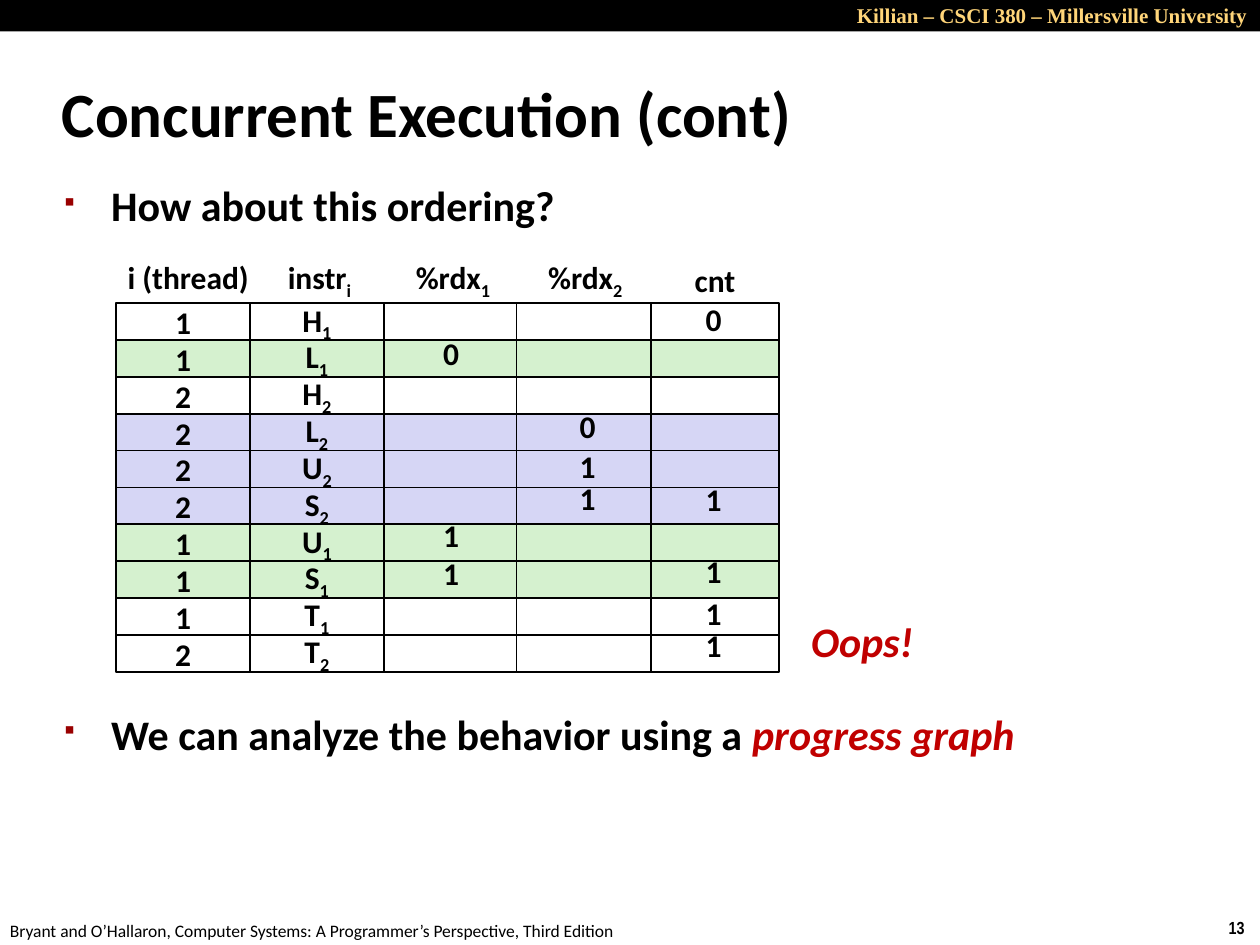
import pptx
import pptx.util
import pptx.dml.color
import pptx.enum.shapes
import pptx.enum.text
import pptx.oxml
import pptx.oxml.ns

Pt = pptx.util.Pt
Align = pptx.enum.text.PP_ALIGN
Anchor = pptx.enum.text.MSO_ANCHOR
NO_FIT = pptx.enum.text.MSO_AUTO_SIZE.NONE

# Content; "_" starts a subscript
TITLE = "Concurrent Execution (cont)"
BULLETS = [
    [("How about this ordering?", "bullet")],
    [("We can analyze the behavior using a ", "bullet"), ("progress graph", "accent")],
]
# Row shade, thread, instruction
STEPS = [
    ("plain", "1", "H_1"),
    ("first", "1", "L_1"),
    ("plain", "2", "H_2"),
    ("second", "2", "L_2"),
    ("second", "2", "U_2"),
    ("second", "2", "S_2"),
    ("first", "1", "U_1"),
    ("first", "1", "S_1"),
    ("plain", "1", "T_1"),
    ("plain", "2", "T_2"),
]
# Value and top of each register or counter entry
VALUES = {
    "rdx1": [("0", 187.2), ("1", 291.6), ("1", 313.2)],
    "rdx2": [("0", 229), ("1", 252), ("1", 270)],
    "cnt": [("0", 167.8), ("1", 270.7), ("1", 311.8), ("1", 336.2), ("1", 354.2)],
}
# Text, left, top, width, height, style, alignment, anchor
LABELS = [
    ("Killian – CSCI 380 – Millersville University", 324, -2, 396, 21.6,
     "header", Align.RIGHT, Anchor.TOP),
    ("Bryant and O’Hallaron, Computer Systems: A Programmer’s Perspective, Third Edition",
     -1.4, 522, 366, 19.4, "footer", Align.LEFT, Anchor.TOP),
    ("13", 695, 520.6, 24.5, 19.4, "number", Align.LEFT, Anchor.TOP),
    ("i (thread)", 65.5, 144, 84.2, 28.8, "cell", Align.CENTER, Anchor.MIDDLE),
    ("instr_i", 157, 145.4, 51.1, 28.8, "cell", Align.CENTER, Anchor.MIDDLE),
    ("%rdx_1", 229.7, 145.4, 58.3, 28.8, "cell", Align.CENTER, Anchor.MIDDLE),
    ("%rdx_2", 305.3, 145.4, 58.3, 28.8, "cell", Align.CENTER, Anchor.MIDDLE),
    ("cnt", 389.5, 145.4, 38.2, 28.8, "cell", Align.CENTER, Anchor.MIDDLE),
    ("Oops!", 456, 348, 73.4, 36, "accent", Align.CENTER, Anchor.MIDDLE),
]

# Theme
THEME = {
    "colors": {"ink": "000000", "accent": "C00000", "gold": "FFD579", "marker": "990000",
               "plain": "FFFFFF", "first": "D5F1CF", "second": "D6D6F5"},
    "text": {
        "title": ("ink", {"name": "Calibri", "size": Pt(36), "bold": True}),
        "bullet": ("ink", {"name": "Calibri", "size": Pt(24), "bold": True}),
        "accent": ("accent", {"name": "Calibri", "size": Pt(24), "bold": True, "italic": True}),
        "cell": ("ink", {"name": "Calibri", "size": Pt(18), "bold": True}),
        "header": ("gold", {"name": "Times New Roman", "size": Pt(12), "bold": True}),
        "footer": ("ink", {"name": "Calibri", "size": Pt(10)}),
        "number": ("ink", {"name": "Arial Narrow", "size": Pt(10), "bold": True}),
    },
}

# Grid layout: the wide cnt column lies under the rdx2 column
GRID_TOP, ROW_STEP = 173.3, 21.05
CELL_WIDTH, CELL_HEIGHT = 76.8, 21.5
COLUMN_LEFTS = {"instr": 142.7, "thread": 66.2, "rdx1": 219.5, "cnt": 368.6, "rdx2": 295.2}
VALUE_LEFTS = {"rdx1": 246.2, "rdx2": 324.2, "cnt": 396.2}
BULLET_GAP = 273


def color(name):
    return pptx.dml.color.RGBColor.from_string(THEME["colors"][name])


def apply(target, values):
    for name, value in values.items():
        setattr(target, name, value)


def add_span(para, text, style):
    span = para.add_run()
    span.text = text
    ink, values = THEME["text"][style]
    apply(span.font, values)
    span.font.color.rgb = color(ink)
    return span


def write(frame, text, style, alignment, anchor):
    frame.vertical_anchor = anchor
    para = frame.paragraphs[0]
    para.alignment = alignment
    base, _, subscript = text.partition("_")
    add_span(para, base, style)
    if subscript:
        add_span(para, subscript, style).font._element.set("baseline", "-25000")


def place(shape, left, top, width, height):
    apply(shape, {"left": Pt(left), "top": Pt(top), "width": Pt(width), "height": Pt(height)})


def add_bullet(para):
    props = para._p.get_or_add_pPr()
    for name, value in {"marL": Pt(27), "indent": -Pt(27)}.items():
        props.set(name, str(int(value)))
    space = pptx.oxml.ns.nsdecls("a")
    for xml in (
        f'<a:buClr {space}><a:srgbClr val="{THEME["colors"]["marker"]}"/></a:buClr>',
        f'<a:buSzPct {space} val="60000"/>',
        f'<a:buFont {space} typeface="Wingdings" charset="2"/>',
        f'<a:buChar {space} char="§"/>',
    ):
        props.append(pptx.oxml.parse_xml(xml))


def add_box(page, left, top, width, height, fill, line=None):
    box = page.shapes.add_shape(
        pptx.enum.shapes.MSO_SHAPE.RECTANGLE, Pt(left), Pt(top), Pt(width), Pt(height))
    box.shadow.inherit = False
    box.fill.solid()
    box.fill.fore_color.rgb = color(fill)
    if line:
        box.line.color.rgb = color(line)
        box.line.width = Pt(1)
    else:
        box.line.fill.background()
    return box


def add_label(page, text, left, top, width, height, style, alignment, anchor):
    box = page.shapes.add_textbox(Pt(left), Pt(top), Pt(width), Pt(height))
    box.text_frame.word_wrap = alignment == Align.RIGHT
    write(box.text_frame, text, style, alignment, anchor)


def main():
    deck = pptx.Presentation()
    apply(deck, {"slide_width": Pt(720), "slide_height": Pt(540)})
    page = deck.slides.add_slide(deck.slide_layouts[1])
    title, body = page.placeholders

    # Title
    place(title, 28.1, 34.2, 598, 60)
    apply(title.text_frame, {"word_wrap": True, "auto_size": NO_FIT})
    write(title.text_frame, TITLE, "title", Align.LEFT, Anchor.MIDDLE)

    # Bullets, spaced around the grid
    place(body, 29.3, 99.2, 622, 392)
    body.text_frame.auto_size = NO_FIT
    for index, spans in enumerate(BULLETS):
        para = body.text_frame.paragraphs[0] if index == 0 else body.text_frame.add_paragraph()
        para.space_before = Pt(BULLET_GAP * index)
        add_bullet(para)
        for text, style in spans:
            add_span(para, text, style)

    # Top bar
    add_box(page, 0, 0, 720, 18, "ink")

    # Execution grid
    for column, left in COLUMN_LEFTS.items():
        for index, (shade, thread, instruction) in enumerate(STEPS):
            cell = add_box(page, left, GRID_TOP + ROW_STEP * index,
                           CELL_WIDTH, CELL_HEIGHT, shade, "ink")
            text = {"thread": thread, "instr": instruction}.get(column)
            if text:
                write(cell.text_frame, text, "cell", Align.CENTER, Anchor.MIDDLE)

    # Register and counter values
    for column, entries in VALUES.items():
        for text, top in entries:
            add_label(page, text, VALUE_LEFTS[column], top, 23.8, 28.8,
                      "cell", Align.LEFT, Anchor.TOP)

    # Header, footer, page number, column headings and remark
    for label in LABELS:
        add_label(page, *label)

    deck.save("out.pptx")


if __name__ == "__main__":
    main()
